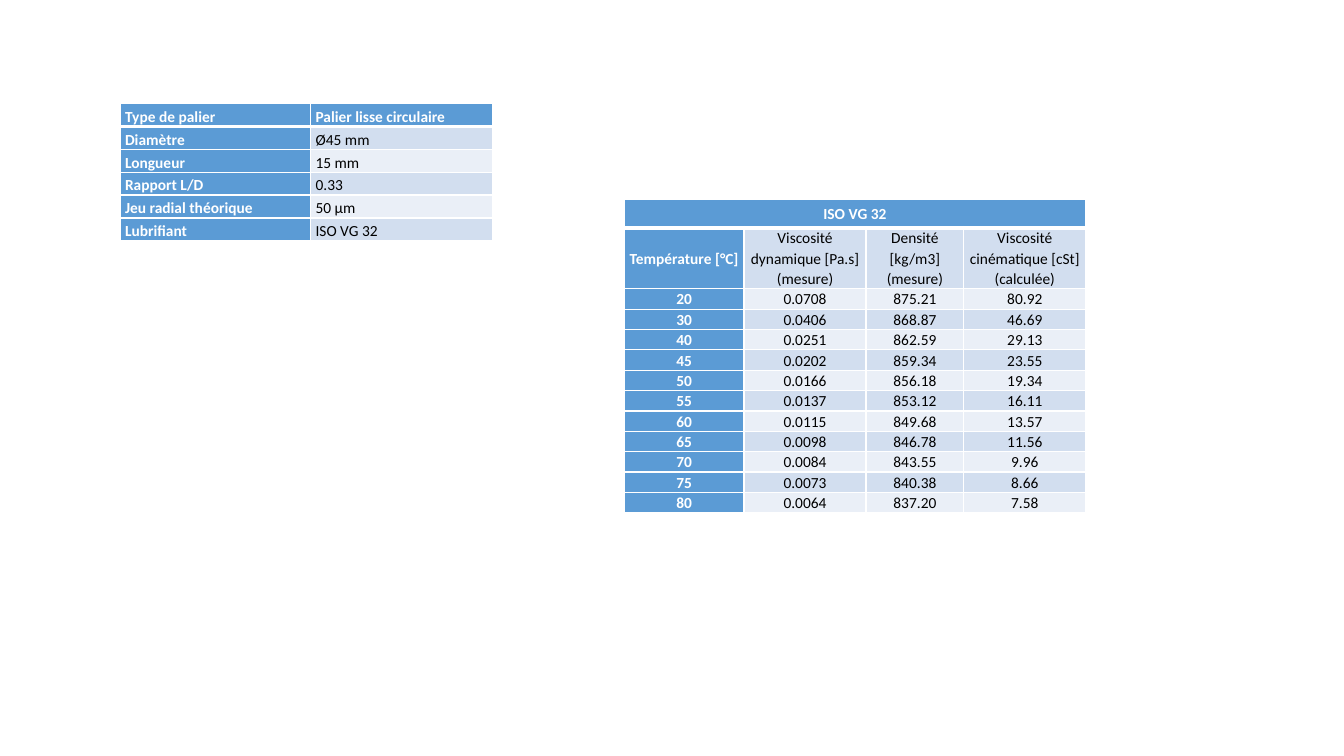
from lxml.etree import SubElement
from pptx import Presentation
from pptx.dml.color import RGBColor
from pptx.enum.text import MSO_ANCHOR, PP_ALIGN
from pptx.oxml.ns import qn
from pptx.util import Inches, Pt

WHITE = RGBColor(0xFF, 0xFF, 0xFF)
BLACK = RGBColor(0x00, 0x00, 0x00)
BLUE = RGBColor(0x5B, 0x9B, 0xD5)
BANDS = [RGBColor(0xEA, 0xEF, 0xF7), RGBColor(0xD2, 0xDE, 0xEF)]


def set_border(cell, side, width):
    ln = SubElement(cell._tc.get_or_add_tcPr(), qn(f"a:ln{side}"), w=str(Pt(width)))
    fill = SubElement(ln, qn("a:solidFill"))
    SubElement(fill, qn("a:srgbClr"), val=str(WHITE))


def add_grid(s, rows, box, widths, heights, align, spacing):
    left, top, width, height = [Inches(v) for v in box]
    frame = s.shapes.add_table(len(rows), len(widths), left, top, width, height)
    table = frame.table
    table.first_col = True
    for col, w in zip(table.columns, widths):
        col.width = Inches(w)
    for row, h in zip(table.rows, heights):
        row.height = Inches(h)
    frame.height = height
    for i, texts in enumerate(rows):
        for j, text in enumerate(texts):
            cell = table.cell(i, j)
            header = i == 0 or j == 0
            for side in "LRTB":
                thick = (i, side) in [(0, "B"), (1, "T")]
                set_border(cell, side, 3 if thick else 1)
            cell.fill.solid()
            cell.fill.fore_color.rgb = BLUE if header else BANDS[i % 2]
            cell.vertical_anchor = MSO_ANCHOR.MIDDLE
            cell.margin_left = cell.margin_right = Inches(0.05)
            cell.margin_top = cell.margin_bottom = 0
            if not text:
                continue
            tf = cell.text_frame
            for k, line in enumerate(text.split("\n")):
                p = tf.add_paragraph() if k else tf.paragraphs[0]
                p.alignment = align
                p.line_spacing = spacing
                r = p.add_run()
                r.text = line
                r.font.name = "Calibri"
                r.font.size = Pt(11)
                r.font.bold = header
                r.font.color.rgb = WHITE if header else BLACK
    return table


prs = Presentation()
prs.slide_width = Inches(13.33)
prs.slide_height = Inches(7.5)
s = prs.slides.add_slide(prs.slide_layouts[6])

bearing = [
    ("Type de palier", "Palier lisse circulaire"),
    ("Diamètre", "Ø45 mm"),
    ("Longueur", "15 mm"),
    ("Rapport L/D", "0.33"),
    ("Jeu radial théorique", "50 µm"),
    ("Lubrifiant", "ISO VG 32"),
]
add_grid(s, bearing, (1.19, 1.03, 3.7, 1.32), [1.89, 1.81],
         [0.21] * len(bearing), PP_ALIGN.LEFT, 1.2)

oil = [
    ("ISO VG 32", "", "", ""),
    ("Température [°C]", "Viscosité dynamique [Pa.s]\n(mesure)",
     "Densité [kg/m3]\n(mesure)", "Viscosité cinématique [cSt]\n(calculée)"),
    ("20", "0.0708", "875.21", "80.92"),
    ("30", "0.0406", "868.87", "46.69"),
    ("40", "0.0251", "862.59", "29.13"),
    ("45", "0.0202", "859.34", "23.55"),
    ("50", "0.0166", "856.18", "19.34"),
    ("55", "0.0137", "853.12", "16.11"),
    ("60", "0.0115", "849.68", "13.57"),
    ("65", "0.0098", "846.78", "11.56"),
    ("70", "0.0084", "843.55", "9.96"),
    ("75", "0.0073", "840.38", "8.66"),
    ("80", "0.0064", "837.20", "7.58"),
]
table = add_grid(s, oil, (6.19, 1.98, 4.58, 3.03), [1.19, 1.21, 0.97, 1.21],
                 [0.28, 0.53] + [0.18] * (len(oil) - 2), PP_ALIGN.CENTER, 1.07)
table.cell(0, 0).merge(table.cell(0, 3))

prs.save("out.pptx")
